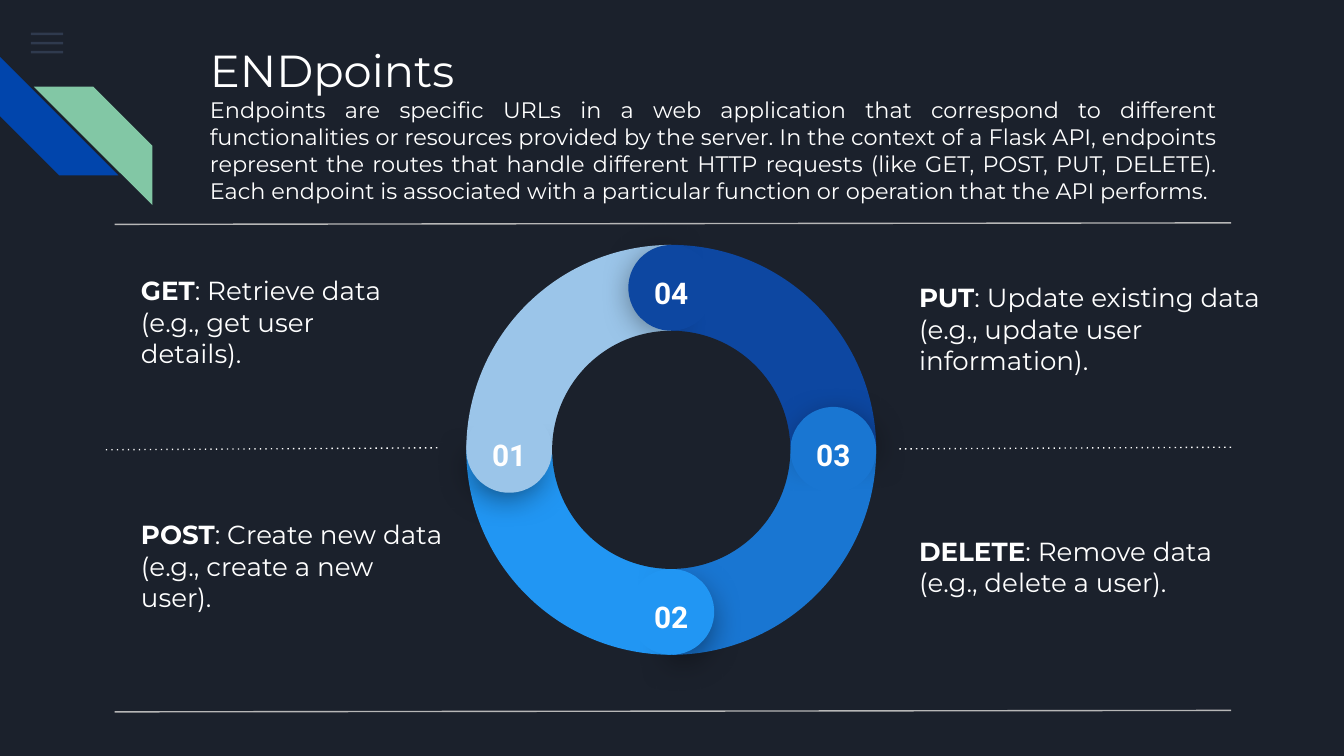
"""Build the slide that explains API endpoints around a four-part ring."""
from math import cos, radians, sin

from lxml.etree import SubElement
from pptx import Presentation
from pptx.dml.color import RGBColor
from pptx.enum.shapes import MSO_CONNECTOR, MSO_SHAPE
from pptx.enum.text import MSO_ANCHOR, PP_ALIGN
from pptx.oxml.ns import qn
from pptx.util import Pt

WHITE = "FFFFFF"
BACKGROUND = "1B212C"
INSET = Pt(7.2)


def draw_shape(kind, left, top, width, height, color, rotation=0, angles=()):
    shape = slide.shapes.add_shape(kind, Pt(left), Pt(top), Pt(width), Pt(height))
    shape.shadow.inherit = False
    shape.fill.solid()
    shape.fill.fore_color.rgb = RGBColor.from_string(color)
    shape.line.fill.background()
    shape.rotation = rotation % 360
    for index, angle in enumerate(angles):
        shape.adjustments[index] = angle
    return shape


def write_text(left, top, width, height, paragraphs, font="Montserrat",
               anchor=MSO_ANCHOR.TOP):
    frame = slide.shapes.add_textbox(Pt(left), Pt(top), Pt(width), Pt(height)).text_frame
    frame.word_wrap = True
    frame.vertical_anchor = anchor
    frame.margin_left = frame.margin_right = INSET
    frame.margin_top = frame.margin_bottom = INSET
    for index, (alignment, size, runs) in enumerate(paragraphs):
        paragraph = frame.add_paragraph() if index else frame.paragraphs[0]
        paragraph.alignment = alignment
        for words, bold in runs:
            run = paragraph.add_run()
            run.text = words
            run.font.name = font
            run.font.size = Pt(size)
            run.font.bold = bold
            run.font.color.rgb = RGBColor.from_string(WHITE)


presentation = Presentation()
presentation.slide_width = Pt(720)
presentation.slide_height = Pt(405)
slide = presentation.slides.add_slide(presentation.slide_layouts[6])
slide.background.fill.solid()
slide.background.fill.fore_color.rgb = RGBColor.from_string(BACKGROUND)

for row in range(3):
    menu_bar = draw_shape(MSO_SHAPE.RECTANGLE, 16.6, 17.5 + 4.9 * row, 17.3, 1.4, "55688B")
    tint = menu_bar.fill._xPr.find(qn("a:solidFill"))[0]
    SubElement(tint, qn("a:alpha"), val="36000")

draw_shape(MSO_SHAPE.DIAGONAL_STRIPE, 0, 30.4, 63.5, 63.5, "0145AC", 270)
draw_shape(MSO_SHAPE.DIAGONAL_STRIPE, 18.1, 46.4, 63.5, 63.5, "82C7A5", 90)

write_text(105.4, 15.8, 554, 58, [
    (PP_ALIGN.LEFT, 24, [("ENDpoints", False)]),
    (PP_ALIGN.JUSTIFY, 12, [(
        "Endpoints are specific URLs in a web application that correspond to different "
        "functionalities or resources provided by the server. In the context of a Flask "
        "API, endpoints represent the routes that handle different HTTP requests (like "
        "GET, POST, PUT, DELETE). Each endpoint is associated with a particular function "
        "or operation that the API performs.", False)]),
])

dividers = [
    (659.5, 119.4, 61.4, 120.2, "B7B7B7", "solid"),
    (234.3, 239.9, 55.8, 241, WHITE, "dot"),
    (659.5, 239.6, 480.5, 240.5, WHITE, "dot"),
    (659.5, 380.6, 61.4, 381.4, "B7B7B7", "solid"),
]
for start_x, start_y, end_x, end_y, color, dash in dividers:
    divider = slide.shapes.add_connector(
        MSO_CONNECTOR.STRAIGHT, Pt(start_x), Pt(start_y), Pt(end_x), Pt(end_y))
    divider.line.width = Pt(0.75)
    divider.line.color.rgb = RGBColor.from_string(color)
    properties = divider._element.spPr
    SubElement(properties.find(qn("a:ln")), qn("a:prstDash"), val=dash)
    SubElement(properties, qn("a:effectLst"))

center_x, center_y = 359.6, 241
ring_radius, hole_radius = 109.8, 63.8
band = ring_radius - hole_radius
middle_radius = (ring_radius + hole_radius) / 2
segment_colors = ["9BC5E9", "2196F3", "1976D2", "0D47A1"]

for step, color in enumerate(segment_colors):
    draw_shape(MSO_SHAPE.PIE, center_x - ring_radius, center_y - ring_radius,
               2 * ring_radius, 2 * ring_radius, color, -90 * step, (108, 162))

for step, color in enumerate(segment_colors):
    direction = radians(180 - 90 * step)
    cap_x = center_x + middle_radius * cos(direction)
    cap_y = center_y + middle_radius * sin(direction)
    shaded_cap = draw_shape(MSO_SHAPE.PIE, cap_x - 20.5 + 1.7 * cos(direction),
                            cap_y - 20.5 + 1.7 * sin(direction), 41, 41, color,
                            39.5 - 90 * step, (189.54, 83.81))
    shadow = SubElement(
        shaded_cap._element.spPr.find(qn("a:effectLst")), qn("a:outerShdw"),
        blurRad=str(Pt(18)), dist=str(Pt(4)), dir="5400000", algn="bl", rotWithShape="0")
    shade = SubElement(shadow, qn("a:srgbClr"), val="000000")
    SubElement(shade, qn("a:alpha"), val="55000")
    draw_shape(MSO_SHAPE.CHORD, cap_x - band / 2, cap_y - band / 2, band, band, color,
               4.1 - 90 * step, (25.01, 18.12))
    write_text(cap_x - 20.2, cap_y - 14.4, 40.4, 20.9,
               [(PP_ALIGN.CENTER, 16, [(f"0{step + 1}", True)])], "Roboto")

draw_shape(MSO_SHAPE.OVAL, center_x - hole_radius, center_y - hole_radius,
           2 * hole_radius, 2 * hole_radius, BACKGROUND)

methods = [
    (68.4, 154.8, 146.2, 35.3, MSO_ANCHOR.MIDDLE, "GET",
     [": Retrieve data (e.g., get user details)."]),
    (68.4, 270.7, 179.3, 65.5, MSO_ANCHOR.TOP, "POST",
     [": Create new data", "(e.g., create a new user)."]),
    (485.3, 146.9, 206.6, 58.3, MSO_ANCHOR.MIDDLE, "PUT",
     [": Update existing data (e.g., update user information)."]),
    (485.3, 274.3, 206.6, 58.3, MSO_ANCHOR.MIDDLE, "DELETE",
     [": Remove data", "(e.g., delete a user)."]),
]
for left, top, width, height, anchor, method, (purpose, *examples) in methods:
    lines = [[(method, True), (purpose, False)]]
    lines += [[(example, False)] for example in examples]
    write_text(left, top, width, height,
               [(PP_ALIGN.LEFT, 14, runs) for runs in lines], anchor=anchor)

presentation.save("out.pptx")
